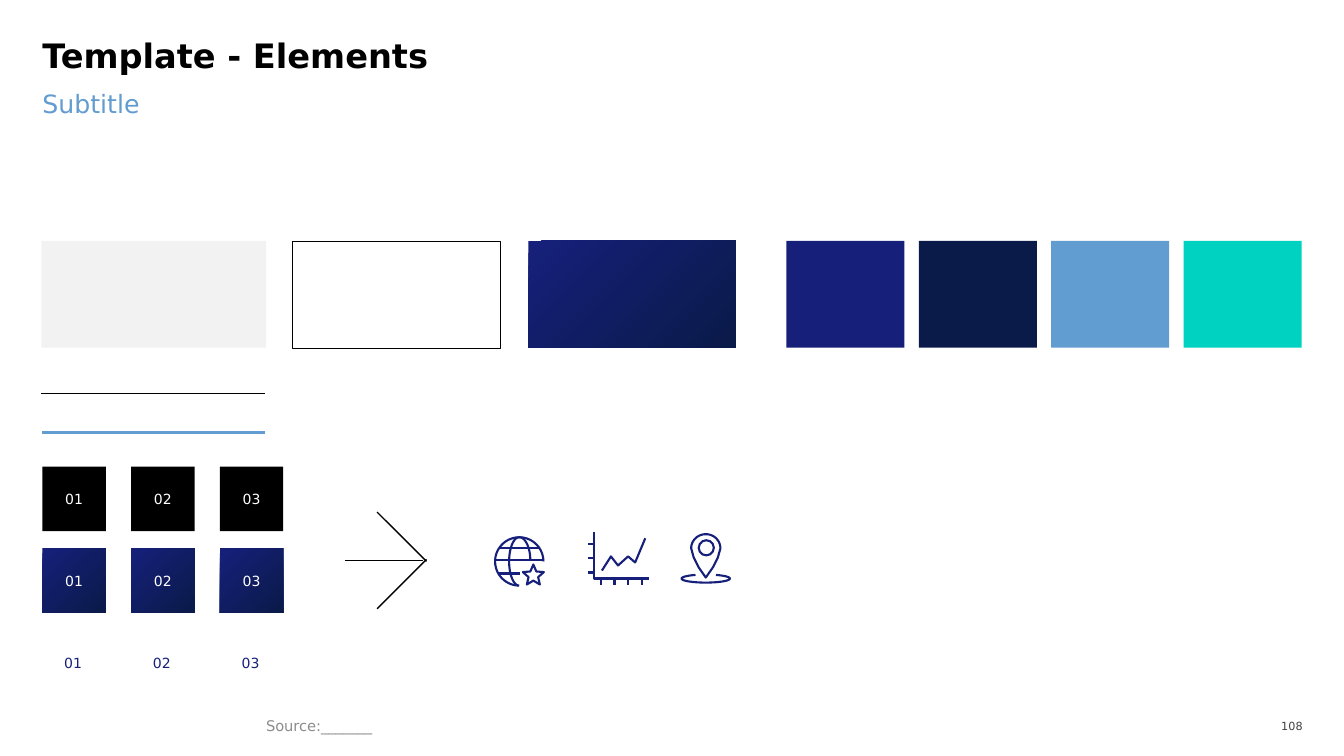
from dataclasses import dataclass
from math import cos, radians, sin

from lxml.etree import SubElement
from pptx import Presentation
from pptx.dml.color import RGBColor as RGB
from pptx.enum.shapes import MSO_CONNECTOR as Conn, MSO_SHAPE as Kind
from pptx.enum.text import MSO_ANCHOR as Anchor, PP_ALIGN as Align
from pptx.oxml.ns import qn
from pptx.util import Inches, Pt


@dataclass(frozen=True)
class Theme:
    """Colours, font and type sizes of the slide."""
    font: str = "DejaVu Sans"
    black: str = "000000"
    white: str = "FFFFFF"
    pale: str = "F2F2F2"
    soft: str = "404040"
    gray: str = "8C8C8C"
    navy: str = "16207B"
    deep: str = "0A1A49"
    sky: str = "629DD1"
    sub: str = "629CD0"
    teal: str = "00D2C2"
    title: float = 24
    lead: float = 18
    note: float = 10.5
    label: float = 10
    page: float = 8
    thin: float = 0.25
    arrow: float = 1
    icon: float = 1.5
    thick: float = 2.25


def arc(x, y, rx, ry, start, end, steps=30):
    """Return points along an ellipse, with angles clockwise from the right."""
    turns = [radians(start + (end - start) * i / steps) for i in range(steps + 1)]
    return [(x + rx * cos(t), y + ry * sin(t)) for t in turns]


class Board:
    """Draws styled elements on one slide."""

    def __init__(self, slide, theme):
        """Keep the slide and its theme."""
        self.shapes = slide.shapes
        self.theme = theme

    def label(self, frame, words, size, color, align=Align.LEFT,
              anchor=Anchor.TOP, inset=0, bold=False):
        """Fill a text frame with one styled paragraph."""
        frame.word_wrap = True
        frame.vertical_anchor = anchor
        frame.margin_left = frame.margin_right = Inches(inset)
        frame.margin_top = frame.margin_bottom = Inches(inset / 2)
        para = frame.paragraphs[0]
        para.text = words
        para.alignment = align
        font = para.font
        font.name, font.size, font.bold = self.theme.font, Pt(size), bold
        font.color.rgb = RGB.from_string(color)
        return para

    def text(self, box, words, size, color, **style):
        """Add a text box and return its paragraph."""
        shape = self.shapes.add_textbox(*map(Inches, box))
        return self.label(shape.text_frame, words, size, color, **style)

    def stroke(self, shape, color, width):
        """Set the line colour and width of a shape."""
        shape.line.color.rgb = RGB.from_string(color)
        shape.line.width = Pt(width)

    def block(self, box, fill=None, edge=None, width=1, kind=Kind.RECTANGLE):
        """Add a preset shape; a pair of colours makes a gradient."""
        shape = self.shapes.add_shape(kind, *map(Inches, box))
        shape.shadow.inherit = False
        if fill is None:
            shape.fill.background()
        elif isinstance(fill, tuple):
            shape.fill.gradient()
            shape.fill.gradient_angle = 315
            for stop, color, place in zip(shape.fill.gradient_stops, fill, (0, 0.99)):
                stop.color.rgb = RGB.from_string(color)
                stop.position = place
        else:
            shape.fill.solid()
            shape.fill.fore_color.rgb = RGB.from_string(fill)
        if edge:
            self.stroke(shape, edge, width)
        else:
            shape.line.fill.background()
        return shape

    def tile(self, box, words, fill, color):
        """Add a numbered square."""
        shape = self.block(box, fill)
        self.label(shape.text_frame, words, self.theme.label, color,
                   align=Align.CENTER, anchor=Anchor.MIDDLE)

    def line(self, start, end, color, width):
        """Add a straight line."""
        link = self.shapes.add_connector(Conn.STRAIGHT, *map(Inches, start + end))
        self.stroke(link, color, width)
        SubElement(link._element.spPr, qn("a:effectLst"))

    def trace(self, points, close=False):
        """Add an unfilled icon outline through the points."""
        dots = [(Inches(x), Inches(y)) for x, y in points]
        pen = self.shapes.build_freeform(*dots[0])
        pen.add_line_segments(dots[1:], close=close)
        shape = pen.convert_to_shape()
        shape.shadow.inherit = False
        shape.fill.background()
        self.stroke(shape, self.theme.navy, self.theme.icon)

    def rule(self, start, end):
        """Add a straight icon stroke."""
        self.line(start, end, self.theme.navy, self.theme.icon)

    def globe(self):
        """Draw the globe with a star."""
        self.trace(arc(5.15, 5.57, 0.24, 0.24, 360, 92))
        self.trace(arc(5.15, 5.57, 0.1, 0.24, 270, 90))
        self.trace(arc(5.15, 5.56, 0.11, 0.23, 270, 360))
        for left, right, y in ((4.96, 5.36, 5.44), (4.91, 5.4, 5.56), (4.95, 5.16, 5.69)):
            self.rule((left, y), (right, y))
        star = [(5.29 + r * cos(radians(a)), 5.71 + r * sin(radians(a)))
                for a, r in zip(range(-90, 270, 36), (0.11, 0.05) * 5)]
        self.trace(star, close=True)

    def chart(self):
        """Draw the line chart icon."""
        self.trace([(5.89, 5.28), (5.89, 5.74), (6.44, 5.74)])
        for y in (5.4, 5.54, 5.68):
            self.rule((5.83, y), (5.89, y))
        for i in range(4):
            x = 5.96 + 0.135 * i
            self.rule((x, 5.74), (x, 5.8))
        self.trace([(5.97, 5.66), (6.06, 5.52), (6.13, 5.61),
                    (6.23, 5.52), (6.3, 5.58), (6.4, 5.34)])

    def pin(self):
        """Draw the map pin."""
        self.block((6.93, 5.36, 0.15, 0.15), edge=self.theme.navy,
                   width=self.theme.icon, kind=Kind.OVAL)
        side = [(0.12, 5.53), (0.07, 5.63)]
        self.trace(arc(7, 5.44, 0.145, 0.14, 180, 360)
                   + [(7 + x, y) for x, y in side] + [(7, 5.73)]
                   + [(7 - x, y) for x, y in reversed(side)], close=True)
        self.trace(arc(7, 5.74, 0.24, 0.04, -65, 245))


def main():
    """Build the slide and save it."""
    deck = Presentation()
    deck.slide_width, deck.slide_height = Inches(13.33), Inches(7.5)
    look = Theme()
    board = Board(deck.slides.add_slide(deck.slide_layouts[6]), look)
    blend = (look.navy, look.deep)

    title = board.text((0.42, 0.42, 12.49, 0.53), "Template - Elements",
                       look.title, look.black, bold=True)
    title.line_spacing = 0.8
    board.text((0.42, 0.88, 12.49, 0.63), "Subtitle", look.lead, look.sub)

    board.block((0.41, 2.39, 2.23, 1.06), look.pale)
    board.block((2.9, 2.39, 2.06, 1.06), edge=look.black, width=look.thin)
    board.block((5.24, 2.39, 2.06, 1.06), blend)
    for i, color in enumerate((look.navy, look.deep, look.sky, look.teal)):
        board.block((7.8 + 3.94 / 3 * i, 2.39, 1.17, 1.06), color)

    board.line((0.41, 3.9), (2.63, 3.9), look.black, look.thin)
    board.line((0.42, 4.29), (2.63, 4.29), look.sky, look.thick)

    rows = ((0.42, 4.63, look.black, look.white), (0.42, 5.44, blend, look.white),
            (0.41, 6.26, look.white, look.navy))
    for left, top, fill, color in rows:
        for i in range(3):
            board.tile((left + 0.88 * i, top, 0.63, 0.64), f"{i + 1:02}", fill, color)

    for start, end in (((3.74, 5.08), (4.23, 5.57)), ((4.23, 5.55), (3.74, 6.04)),
                       ((3.42, 5.56), (4.2, 5.56))):
        board.line(start, end, look.black, look.arrow)
    board.globe()
    board.chart()
    board.pin()

    board.text((2.54, 7.07, 6.39, 0.26), "Source:_______", look.note, look.gray,
               anchor=Anchor.MIDDLE, inset=0.1)
    board.text((12.5, 7.09, 0.42, 0.23), "108", look.page, look.soft,
               align=Align.RIGHT, anchor=Anchor.MIDDLE)
    deck.save("out.pptx")


if __name__ == "__main__":
    main()
